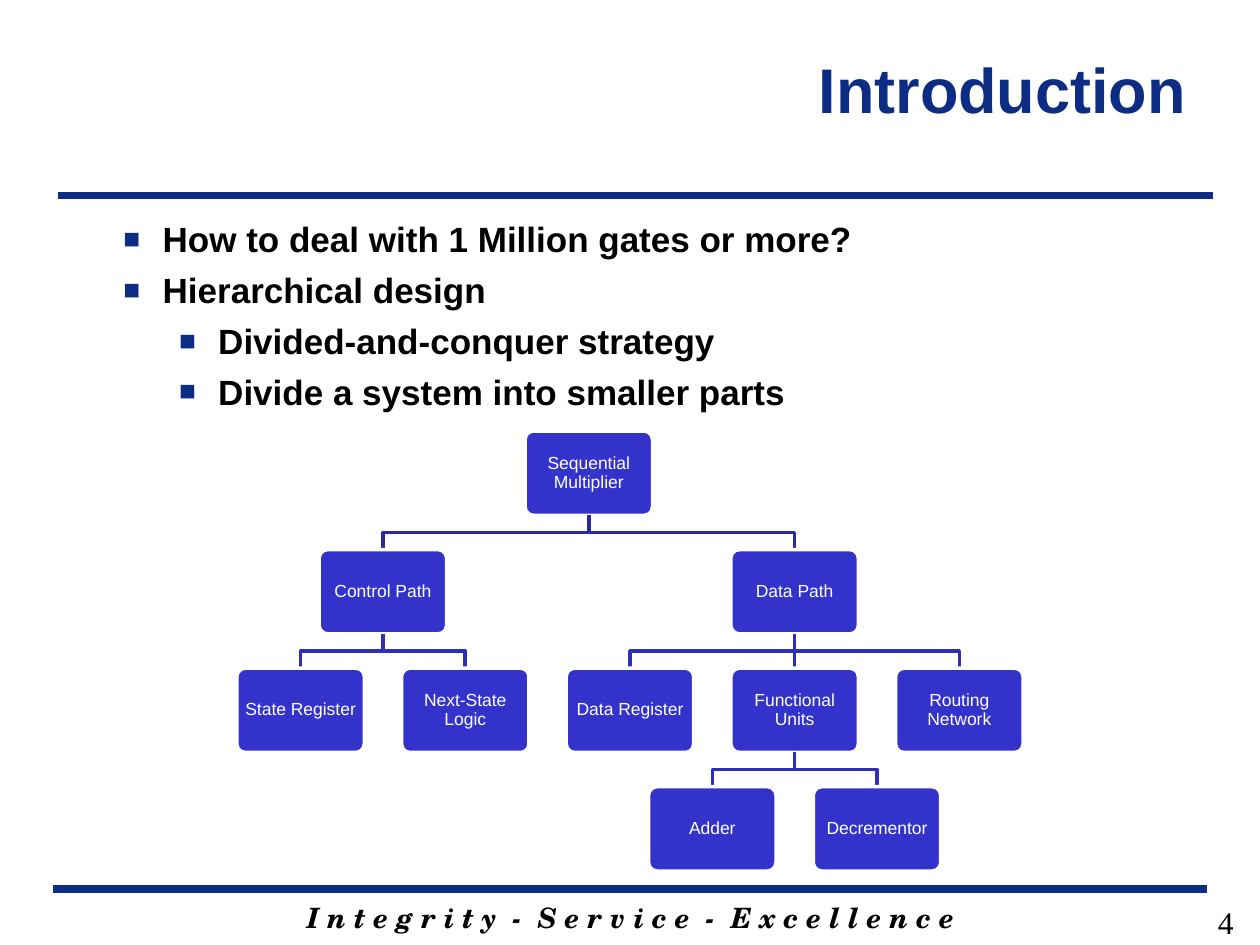
from lxml.etree import SubElement as Sub
from pptx import Presentation as Deck
from pptx.dml.color import RGBColor as Rgb
from pptx.enum.shapes import MSO_CONNECTOR as Link, MSO_SHAPE as Kind
from pptx.enum.text import MSO_ANCHOR as Anchor, PP_ALIGN as Align
from pptx.oxml.ns import qn
from pptx.util import Cm, Pt

NAVY, BLACK, WHITE, BLUE = "0C2D83", "000000", "FFFFFF", "3333CC"
TREE = ("Sequential Multiplier", 3.5, [
    ("Control Path", 1, [
        ("State Register", 0, []),
        ("Next-State Logic", 2, [])]),
    ("Data Path", 6, [
        ("Data Register", 4, []),
        ("Functional Units", 6, [
            ("Adder", 5, []),
            ("Decrementor", 7, [])]),
        ("Routing Network", 8, [])])])


def color(code):
    return Rgb.from_string(code)


class Page:
    face = "Arial"
    left, top = 6.06, 8.69
    step, drop = 1.66, 2.39
    wide, high = 2.57, 1.7

    def __init__(self, slide):
        self.slide = slide
        self.shapes = slide.shapes

    def style(self, par, size, tint, bold=False, face=None, align=Align.LEFT):
        par.alignment = align
        font = par.font
        font.size, font.bold = Pt(size), bold
        font.name = face or self.face
        font.color.rgb = color(tint)

    def text(self, words, box, size, tint, anchor=Anchor.TOP, **look):
        frame = self.shapes.add_textbox(*map(Cm, box)).text_frame
        frame.word_wrap = True
        frame.vertical_anchor = anchor
        frame.text = words
        self.style(frame.paragraphs[0], size, tint, **look)
        return frame

    def line(self, start, end, tint, width):
        rule = self.shapes.add_connector(
            Link.STRAIGHT, *map(Cm, start + end))
        rule.line.color.rgb = color(tint)
        rule.line.width = Pt(width)
        Sub(rule._element.spPr, qn("a:effectLst"))

    def list(self, items, box):
        frame = self.text("\n".join(words for words, _ in items),
                          box, 20, BLACK)
        for par, (_, level) in zip(frame.paragraphs, items):
            self.style(par, 20, BLACK, bold=True)
            par.level = level
            par.space_before = Pt(5)
            props = par._p.get_or_add_pPr()
            props.set("marL", str(Cm(0.79 + level * 1.12)))
            props.set("indent", str(Cm(-0.79)))
            hue = Sub(props, qn("a:buClr"))
            Sub(hue, qn("a:srgbClr"), val=NAVY)
            Sub(props, qn("a:buSzPct"), val="80000")
            Sub(props, qn("a:buFont"), typeface=self.face)
            Sub(props, qn("a:buChar"), char="■")
            for tag in ("a:defRPr",):
                for node in props.findall(qn(tag)):
                    props.append(node)

    def bend(self, start, end, tint):
        if start[0] == end[0]:
            self.line(start, end, tint, 2)
            return
        mid = (start[1] + end[1]) / 2
        pen = self.shapes.build_freeform(*map(Cm, start))
        pen.add_line_segments(
            [(Cm(x), Cm(y)) for x, y in
             ((start[0], mid), (end[0], mid), end)], close=False)
        path = pen.convert_to_shape()
        path.shadow.inherit = False
        path.fill.background()
        path.line.color.rgb = color(tint)
        path.line.width = Pt(2)

    def node(self, words, x, y):
        box = self.shapes.add_shape(
            Kind.ROUNDED_RECTANGLE,
            *map(Cm, (x - self.wide / 2, y, self.wide, self.high)))
        box.adjustments[0] = 0.1
        box.shadow.inherit = False
        box.fill.solid()
        box.fill.fore_color.rgb = color(BLUE)
        box.line.color.rgb = color(WHITE)
        box.line.width = Pt(2)
        frame = box.text_frame
        frame.word_wrap = True
        frame.vertical_anchor = Anchor.MIDDLE
        frame.margin_left = frame.margin_right = Cm(0.1)
        frame.margin_top = frame.margin_bottom = Cm(0.1)
        frame.text = words
        par = frame.paragraphs[0]
        par.line_spacing = 0.9
        self.style(par, 10, WHITE, align=Align.CENTER)

    def tree(self, branch, row=0):
        words, col, kids = branch
        x = self.left + col * self.step
        y = self.top + row * self.drop
        self.node(words, x, y)
        for kid in kids:
            end = (self.left + kid[1] * self.step, y + self.drop)
            self.bend((x, y + self.high), end, "2E2EB9" if row else "2929A3")
            self.tree(kid, row + 1)


def main():
    deck = Deck()
    deck.slide_width, deck.slide_height = Cm(25.4), Cm(19.05)
    page = Page(deck.slides.add_slide(deck.slide_layouts[6]))
    page.line((1.07, 17.93), (24.33, 17.93), NAVY, 4.5)
    page.line((1.17, 3.94), (24.46, 3.94), NAVY, 4.5)
    motto = page.text(
        "I n t e g r i t y  -  S e r v i c e  -  E x c e l l e n c e",
        (3.61, 18.03, 18.21, 0.94), 16, BLACK, bold=True,
        face="TeX Gyre Schola", align=Align.CENTER)
    motto.paragraphs[0].font.italic = True
    page.text("Introduction", (5.31, 0.2, 18.85, 3.18), 36, NAVY,
              anchor=Anchor.MIDDLE, bold=True, align=Align.RIGHT)
    page.list([("How to deal with 1 Million gates or more?", 0),
               ("Hierarchical design", 0),
               ("Divided-and-conquer strategy", 1),
               ("Divide a system into smaller parts", 1)],
              (2.24, 4.27, 22.58, 12.01))
    page.text("4", (19.2, 18.08, 5.92, 0.94), 18, BLACK,
              face="Times New Roman", align=Align.RIGHT)
    page.tree(TREE)
    deck.save("out.pptx")


if __name__ == "__main__":
    main()
